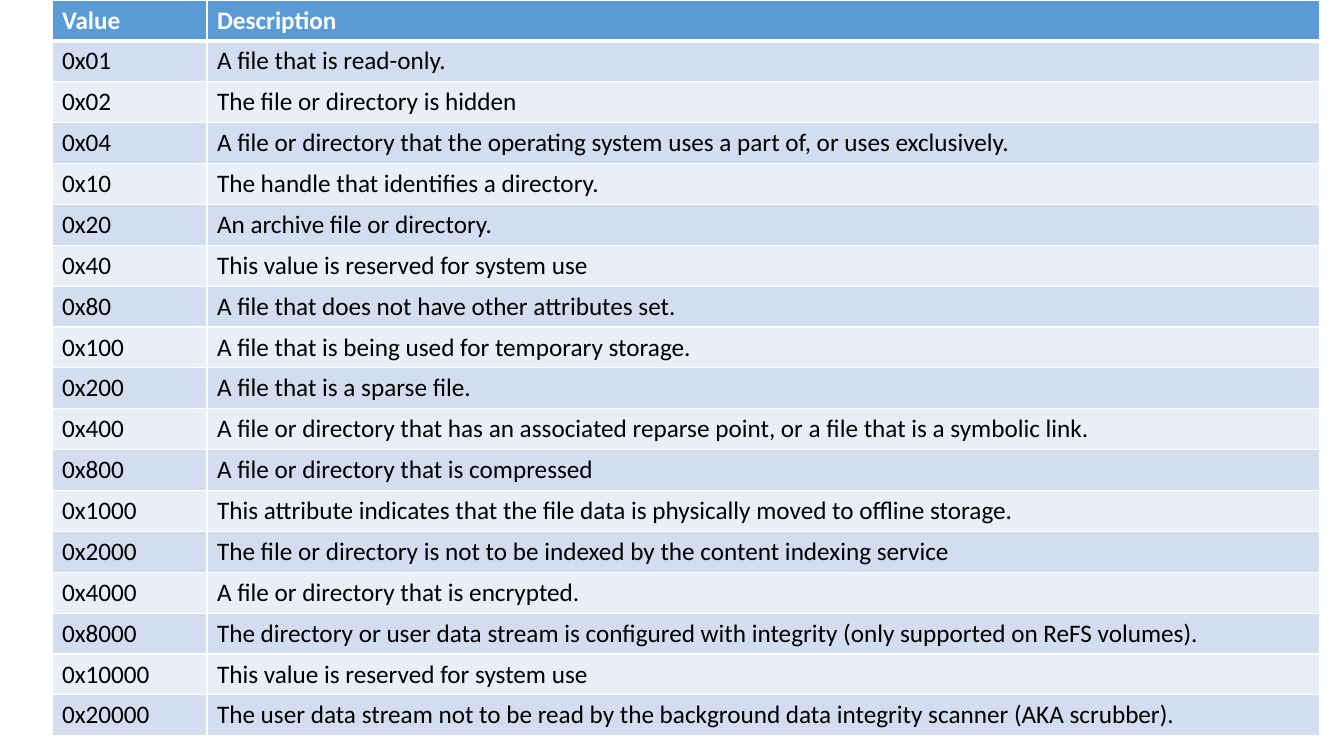
from lxml.etree import fromstring
from pptx import Presentation
from pptx.dml.color import RGBColor
from pptx.oxml.ns import nsdecls
from pptx.util import Emu, Pt

PX = 914400 / 100.8
COLORS = {"head": "5B9BD5", "odd": "D2DEEF", "even": "EAEFF7",
          "white": "FFFFFF", "black": "000000"}
ROWS = [
    ("Value", "Description"),
    ("0x01", "A file that is read-only."),
    ("0x02", "The file or directory is hidden"),
    ("0x04", "A file or directory that the operating system uses a part of, or uses exclusively."),
    ("0x10", "The handle that identifies a directory."),
    ("0x20", "An archive file or directory."),
    ("0x40", "This value is reserved for system use"),
    ("0x80", "A file that does not have other attributes set."),
    ("0x100", "A file that is being used for temporary storage."),
    ("0x200", "A file that is a sparse file."),
    ("0x400", "A file or directory that has an associated reparse point, or a file that is a symbolic link."),
    ("0x800", "A file or directory that is compressed"),
    ("0x1000", "This attribute indicates that the file data is physically moved to offline storage."),
    ("0x2000", "The file or directory is not to be indexed by the content indexing service"),
    ("0x4000", "A file or directory that is encrypted."),
    ("0x8000", "The directory or user data stream is configured with integrity (only supported on ReFS volumes)."),
    ("0x10000", "This value is reserved for system use"),
    ("0x20000", "The user data stream not to be read by the background data integrity scanner (AKA scrubber)."),
]
WIDTHS = (155, 1113)
HEIGHT = 736


def px(n):
    return Emu(round(n * PX))


def put(cell, text, fill, color="black", bold=False, top=1, bottom=1):
    """Fill a cell with text, colour and white borders, whose widths are in points."""
    cell.fill.solid()
    cell.fill.fore_color.rgb = RGBColor.from_string(COLORS[fill])
    para = cell.text_frame.paragraphs[0]
    run = para.add_run()
    run.text = text
    font = run.font
    font.name, font.size, font.bold = "Calibri", Pt(18), bold
    font.color.rgb = RGBColor.from_string(COLORS[color])
    props = cell._tc.get_or_add_tcPr()
    for i, (side, width) in enumerate(zip("LRTB", (1, 1, top, bottom))):
        props.insert(i, fromstring(
            f'<a:ln{side} {nsdecls("a")} w="{Pt(width)}"><a:solidFill>'
            f'<a:srgbClr val="{COLORS["white"]}"/></a:solidFill></a:ln{side}>'))


deck = Presentation()
deck.slide_width, deck.slide_height = px(1344), px(756)
slide = deck.slides.add_slide(deck.slide_layouts[6])

frame = slide.shapes.add_table(len(ROWS), len(WIDTHS), px(52), 0,
                               px(sum(WIDTHS)), px(HEIGHT))
table = frame.table
for col, width in zip(table.columns, WIDTHS):
    col.width = px(width)

for r, texts in enumerate(ROWS):
    table.rows[r].height = px(HEIGHT / len(ROWS))
    if r == 0:
        style = dict(fill="head", color="white", bold=True, bottom=3)
    else:
        style = dict(fill="odd" if r % 2 else "even", top=3 if r == 1 else 1)
    for c, text in enumerate(texts):
        put(table.cell(r, c), text, **style)

deck.save("out.pptx")
